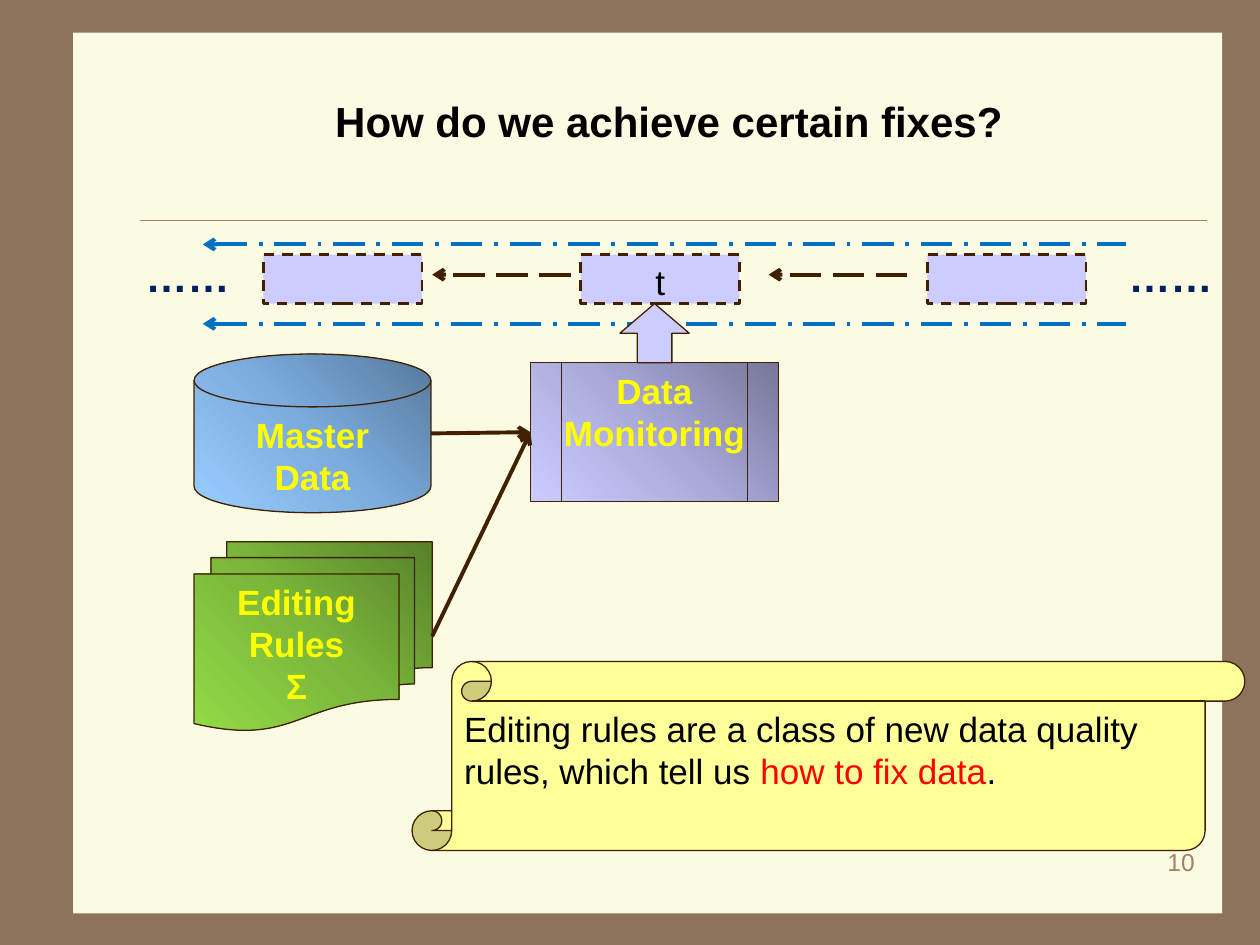
from copy import deepcopy

from lxml.etree import SubElement
from pptx import Presentation
from pptx.dml.color import RGBColor
from pptx.enum.dml import MSO_LINE
from pptx.enum.shapes import MSO_CONNECTOR, MSO_SHAPE
from pptx.enum.text import MSO_ANCHOR, PP_ALIGN
from pptx.oxml.ns import qn
from pptx.util import Inches, Pt

BROWN, LILAC, BLUE, TAN = "402000", "CCCCFF", "0070C0", "A08366"
YELLOW, NAVY = "FFFF00", "002060"


def rgb(code):
    return RGBColor.from_string(code)


def write(frame, *lines, size=20, color="000000", bold=False,
          align=PP_ALIGN.CENTER, anchor=MSO_ANCHOR.TOP, wrap=True):
    """Fill a frame; a line is a string or a list of (text, color) runs."""
    frame.word_wrap = wrap
    frame.vertical_anchor = anchor
    for i, line in enumerate(lines):
        para = frame.paragraphs[0] if i == 0 else frame.add_paragraph()
        para.alignment = align
        runs = [(line, color)] if isinstance(line, str) else line
        for text, shade in runs:
            run = para.add_run()
            run.text = text
            font = run.font
            font.name, font.size, font.bold = "Arial", Pt(size), bold
            font.color.rgb = rgb(shade)


class Board:
    def __init__(self, deck, back):
        self.slide = deck.slides.add_slide(deck.slide_layouts[5])
        self.shapes = self.slide.shapes
        fill = self.slide.background.fill
        fill.solid()
        fill.fore_color.rgb = rgb(back)

    def title(self, text, *box):
        head = self.shapes.title
        head.left, head.top, head.width, head.height = map(Inches, box)
        write(head.text_frame, text, size=24, bold=True,
              anchor=MSO_ANCHOR.MIDDLE)

    def text(self, text, *box, **style):
        item = self.shapes.add_textbox(*map(Inches, box))
        write(item.text_frame, text, **style)

    def shape(self, kind, *box, fill=LILAC, line=BROWN, width=0.75, dash=None):
        """Draw a preset shape; a list as fill gives a gradient."""
        item = self.shapes.add_shape(kind, *map(Inches, box))
        item.shadow.inherit = False
        if isinstance(fill, list):
            self.grade(item, fill)
        else:
            item.fill.solid()
            item.fill.fore_color.rgb = rgb(fill)
        if line:
            item.line.color.rgb = rgb(line)
            item.line.width = Pt(width)
            item.line.dash_style = dash
        else:
            item.line.fill.background()
        return item

    def grade(self, item, codes):
        """Spread three colors evenly from top right to bottom left."""
        item.fill.gradient()
        item.fill.gradient_angle = 225
        stops = item.element.spPr.find(".//" + qn("a:gsLst"))
        stops.insert(1, deepcopy(stops[0]))
        for i, (stop, code) in enumerate(zip(item.fill.gradient_stops, codes)):
            stop.position = i / 2
            stop.color.rgb = rgb(code)

    def line(self, x1, y1, x2, y2, color=BROWN, width=2.25, dash=None,
             end="a:tailEnd"):
        item = self.shapes.add_connector(
            MSO_CONNECTOR.STRAIGHT, *map(Inches, (x1, y1, x2, y2)))
        item.line.color.rgb = rgb(color)
        item.line.width = Pt(width)
        item.line.dash_style = dash
        if end:
            SubElement(item.line._get_or_add_ln(), qn(end), type="arrow")
        SubElement(item.element.spPr, qn("a:effectLst"))
        return item


def main():
    deck = Presentation()
    deck.slide_width, deck.slide_height = Inches(10), Inches(7.5)
    board = Board(deck, "8C735A")

    board.shape(MSO_SHAPE.RECTANGLE, 0.58, 0.26, 9.12, 6.99,
                fill="FBFAE2", line=None)
    board.line(1.11, 1.75, 9.58, 1.75, color=TAN, width=0.25, end=None)
    # The title belongs above the page panel
    tree = board.shapes.title.element.getparent()
    tree.append(board.shapes.title.element)
    board.title("How do we achieve certain fixes?", 1.06, 0.52, 8.5, 0.87)
    board.text("10", 7.5, 6.67, 2.08, 0.5, size=14, color=TAN,
               align=PP_ALIGN.RIGHT)

    # Stream of tuples
    for y in (1.94, 2.57):
        board.line(1.61, y, 8.94, y, color=BLUE,
                   dash=MSO_LINE.LONG_DASH_DOT, end="a:headEnd")
    for x, name in ((2.09, ""), (4.61, "t"), (7.36, "")):
        cell = board.shape(MSO_SHAPE.RECTANGLE, x, 2.02, 1.26, 0.39,
                           width=1.5, dash=MSO_LINE.DASH)
        if name:
            write(cell.text_frame, name, wrap=False)
    for x in (0.98, 8.78):
        board.text("……", x, 1.94, 1.02, 0.5, size=24, color=NAVY, bold=True)
    for x in (7.2, 4.53):
        board.line(x, 2.18, x - 1.1, 2.18, dash=MSO_LINE.LONG_DASH)

    # Inputs and the monitor
    label = dict(color=YELLOW, bold=True, wrap=False)
    master = board.shape(MSO_SHAPE.FLOWCHART_MAGNETIC_DISK,
                         1.54, 2.81, 1.88, 1.26,
                         fill=["56799C", "7BACDD", "99CCFF"])
    write(master.text_frame, "Master", "Data", **label)
    monitor = board.shape(MSO_SHAPE.FLOWCHART_PREDEFINED_PROCESS,
                          4.21, 2.88, 1.97, 1.1,
                          fill=["777799", "A9A9DA", "CCCCFF"])
    write(monitor.text_frame, "Data", "Monitoring", **label)
    rules = board.shape(MSO_SHAPE.FLOWCHART_MULTIDOCUMENT,
                        1.54, 4.3, 1.89, 1.5,
                        fill=["57812A", "7BB73B", "92DA46"])
    write(rules.text_frame, "Editing", "Rules", "Σ", **label)
    board.shape(MSO_SHAPE.UP_ARROW, 4.92, 2.41, 0.55, 0.47)
    for x, y in ((3.42, 3.44), (3.43, 5.05)):
        board.line(x, y, 4.21, 3.44).end_connect(monitor, 1)

    scroll = board.shape(MSO_SHAPE.VERTICAL_SCROLL, 3.27, 5.25, 6.61, 1.5,
                         fill="FFFF99")
    scroll.adjustments[0] = 0.21
    write(scroll.text_frame, [
        ("Editing rules are a class of new data quality rules, "
         "which tell us ", "000000"),
        ("how to fix data", "FF0000"),
        (".", "000000")], align=PP_ALIGN.LEFT)

    deck.save("out.pptx")


if __name__ == "__main__":
    main()
